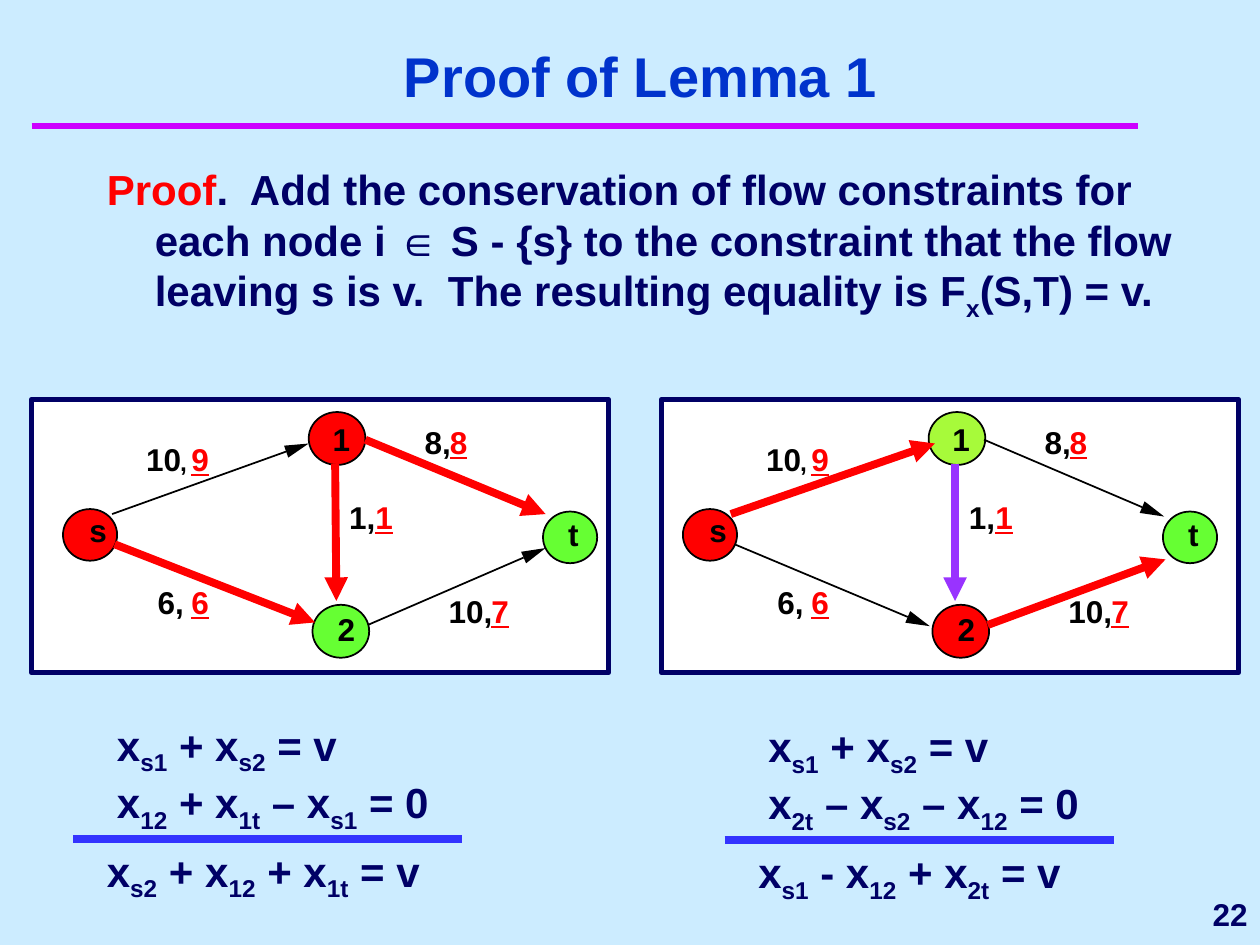
import math
import pptx
import pptx.util
import pptx.dml.color
import pptx.enum.shapes
import pptx.enum.text
import pptx.oxml
from pptx.util import Inches

COLOURS = {
    "sky": "CCECFF", "navy": "000066", "title": "0033CC", "magenta": "CC00FF",
    "red": "FF0000", "green": "66FF33", "lime": "A7FA3A", "violet": "9933FF",
    "blue": "3333FF", "black": "000000", "white": "FFFFFF",
}
FONT = "Arial"
TITLE = "Proof of Lemma 1"
PROOF = [
    ("Proof", "red"),
    (".  Add the conservation of flow constraints for each node i ∈ S - {s} to the "
     "constraint that the flow leaving s is v.  The resulting equality is F[x](S,T) = v.", "navy"),
]
PAGE = "22"

NODES = {
    "s": ((0.5, 4.04, 0.43, 0.41), (0.71, 4.06, 0.14)),
    "1": ((2.45, 3.27, 0.45, 0.42), (2.64, 3.33, 0.14)),
    "2": ((2.48, 4.8, 0.45, 0.42), (2.68, 4.84, 0.14)),
    "t": ((4.31, 4.06, 0.43, 0.41), (4.51, 4.09, 0.08)),
}
CAPACITIES = [
    ("10", 1.16, 3.49, 0.28, 18), (",", 1.43, 3.55, 0.11, 14), ("8,", 3.37, 3.36, 0.21, 18),
    ("1,", 2.77, 3.95, 0.21, 18), ("10,", 3.56, 4.7, 0.35, 18), ("6,", 1.25, 4.63, 0.28, 18),
]
FLOWS = [("9", 1.52, 3.49), ("8", 3.57, 3.36), ("1", 2.98, 3.95), ("7", 3.9, 4.7), ("6", 1.52, 4.63)]

PANELS = [
    {
        "frame_left": 0.25, "graph_shift": 0, "sum_shift": (0, 0),
        "fills": {"s": "red", "1": "red", "2": "green", "t": "green"},
        "edges": [
            ((0.89, 4.08), (2.45, 3.52), None), ((0.91, 4.32), (2.5, 4.94), "red"),
            ((2.9, 3.49), (4.33, 4.08), "red"), ((2.92, 4.96), (4.33, 4.35), None),
            ((2.66, 3.68), (2.67, 4.77), "red"),
        ],
        "constraints": ["x[s1] + x[s2] = v", "x[12] + x[1t] – x[s1] = 0"],
        "total": "x[s2] + x[12] + x[1t] = v",
    },
    {
        "frame_left": 5.25, "graph_shift": 4.92, "sum_shift": (5.17, 0.01),
        "fills": {"s": "red", "1": "lime", "2": "red", "t": "green"},
        "edges": [
            ((0.88, 4.08), (2.5, 3.52), "red"), ((0.91, 4.32), (2.46, 4.97), None),
            ((2.89, 3.49), (4.32, 4.1), None), ((2.92, 4.96), (4.33, 4.44), "red"),
            ((2.66, 3.68), (2.66, 4.77), "violet"),
        ],
        "constraints": ["x[s1] + x[s2] = v", "x[2t] – x[s2] – x[12] = 0"],
        "total": "x[s1] - x[12] + x[2t] = v",
    },
]


def rgb(name):
    return pptx.dml.color.RGBColor.from_string(COLOURS[name])


def style(font, size, colour, underline=None):
    font.name, font.size, font.bold = FONT, pptx.util.Pt(size), True
    font.color.rgb = rgb(colour)
    font.underline = underline


def add_math(paragraph, markup, colour):
    for index, part in enumerate(markup.replace("]", "[").split("[")):
        run = paragraph.add_run()
        run.text = part
        style(run.font, 24, colour)
        if index % 2:
            run.font._element.set("baseline", "-25000")


def add_box(shapes, left, top, width, height, inset=True, grow=True):
    frame = shapes.add_textbox(*map(Inches, (left, top, width, height))).text_frame
    frame.word_wrap = inset
    if grow:
        frame.auto_size = pptx.enum.text.MSO_AUTO_SIZE.SHAPE_TO_FIT_TEXT
    if not inset:
        frame.margin_left = frame.margin_right = frame.margin_top = frame.margin_bottom = 0
    return frame


def add_label(shapes, text, left, top, width, size=18, colour="black", underline=None):
    frame = add_box(shapes, left, top, width, size / 60, inset=False)
    frame.text = text
    style(frame.paragraphs[0].runs[0].font, size, colour, underline)


def add_preset(shapes, kind, box, fill, line, weight):
    shape = shapes.add_shape(kind, *map(Inches, box))
    shape.shadow.inherit = False
    shape.fill.solid()
    shape.fill.fore_color.rgb = rgb(fill)
    shape.line.color.rgb = rgb(line)
    shape.line.width = pptx.util.Pt(weight)


def add_line(shapes, start, end, colour, weight, arrow=False):
    line = shapes.add_connector(
        pptx.enum.shapes.MSO_CONNECTOR.STRAIGHT, *map(Inches, (*start, *end)))
    line.line.color.rgb = rgb(colour)
    line.line.width = pptx.util.Pt(weight)
    if arrow:
        pptx.oxml.ns  # noqa
        tail = pptx.oxml.xmlchemy.OxmlElement("a:tailEnd")
        tail.set("type", "triangle")
        line.line._get_or_add_ln().append(tail)
    line._element.spPr.append(pptx.oxml.xmlchemy.OxmlElement("a:effectLst"))


def add_thin_arrow(shapes, start, tip):
    length = math.dist(start, tip)
    ux, uy = (tip[0] - start[0]) / length, (tip[1] - start[1]) / length
    base = (tip[0] - 0.19 * ux, tip[1] - 0.19 * uy)
    corners = [(base[0] - side * uy, base[1] + side * ux) for side in (0.05, -0.05)]
    builder = shapes.build_freeform(*map(Inches, tip), scale=1.0)
    builder.add_line_segments([tuple(map(Inches, corner)) for corner in corners], close=True)
    head = builder.convert_to_shape()
    head.shadow.inherit = False
    head.fill.solid()
    head.fill.fore_color.rgb = rgb("black")
    head.line.fill.background()
    add_line(shapes, start, base, "black", 1)


def add_network(slide, panel):
    shapes = slide.shapes.add_group_shape().shapes
    shift = panel["graph_shift"]
    kinds = pptx.enum.shapes.MSO_SHAPE
    add_preset(shapes, kinds.RECTANGLE, (panel["frame_left"], 3.17, 4.58, 2.17), "white", "navy", 3)
    for name, ((left, top, width, height), (label_left, label_top, label_width)) in NODES.items():
        add_preset(shapes, kinds.OVAL, (left + shift, top, width, height),
                   panel["fills"][name], "black", 1)
        add_label(shapes, name, label_left + shift, label_top, label_width)
    for (x1, y1), (x2, y2), colour in panel["edges"]:
        start, tip = (x1 + shift, y1), (x2 + shift, y2)
        if colour:
            add_line(shapes, start, tip, colour, 4.5, arrow=True)
        else:
            add_thin_arrow(shapes, start, tip)
    for text, left, top, width, size in CAPACITIES:
        add_label(shapes, text, left + shift, top, width, size)
    for text, left, top in FLOWS:
        add_label(shapes, text, left + shift, top, 0.14, colour="red", underline=True)


def add_sum(slide, panel):
    dx, dy = panel["sum_shift"]
    constraints = add_box(slide.shapes, 0.83 + dx, 5.66 + dy, 3.17, 1.01)
    add_math(constraints.paragraphs[0], panel["constraints"][0], "navy")
    add_math(constraints.add_paragraph(), panel["constraints"][1], "navy")
    total = add_box(slide.shapes, 0.75 + dx, 6.66 + dy, 3.17, 0.56)
    add_math(total.paragraphs[0], panel["total"], "navy")
    add_line(slide.shapes, (0.58 + dx, 6.66 + dy), (3.67 + dx, 6.66 + dy), "blue", 4.5)


def main():
    deck = pptx.Presentation()
    deck.slide_width, deck.slide_height = Inches(10), Inches(7.5)
    slide = deck.slides.add_slide(deck.slide_layouts[5])
    slide.background.fill.solid()
    slide.background.fill.fore_color.rgb = rgb("sky")

    title = slide.shapes.title
    title.left, title.top, title.width, title.height = map(Inches, (0.42, 0.33, 9.33, 0.58))
    title.text_frame.text = TITLE
    title.text_frame.vertical_anchor = pptx.enum.text.MSO_ANCHOR.BOTTOM
    heading = title.text_frame.paragraphs[0]
    heading.alignment = pptx.enum.text.PP_ALIGN.CENTER
    style(heading.runs[0].font, 32, "title")
    add_line(slide.shapes, (0.25, 1), (9.03, 1), "magenta", 4)

    proof = add_box(slide.shapes, 0.75, 1.25, 8.75, 1.58, grow=False).paragraphs[0]
    proof.space_before = pptx.util.Pt(6)
    indent = proof._p.get_or_add_pPr()
    indent.set("marL", str(Inches(0.38)))
    indent.set("indent", str(Inches(-0.38)))
    for markup, colour in PROOF:
        add_math(proof, markup, colour)

    for panel in PANELS:
        add_network(slide, panel)
        add_sum(slide, panel)

    page = add_box(slide.shapes, 8.08, 7, 1.92, 0.5, grow=False)
    page.text = PAGE
    page.vertical_anchor = pptx.enum.text.MSO_ANCHOR.MIDDLE
    page.paragraphs[0].alignment = pptx.enum.text.PP_ALIGN.RIGHT
    style(page.paragraphs[0].runs[0].font, 18, "navy")
    deck.save("out.pptx")


if __name__ == "__main__":
    main()
